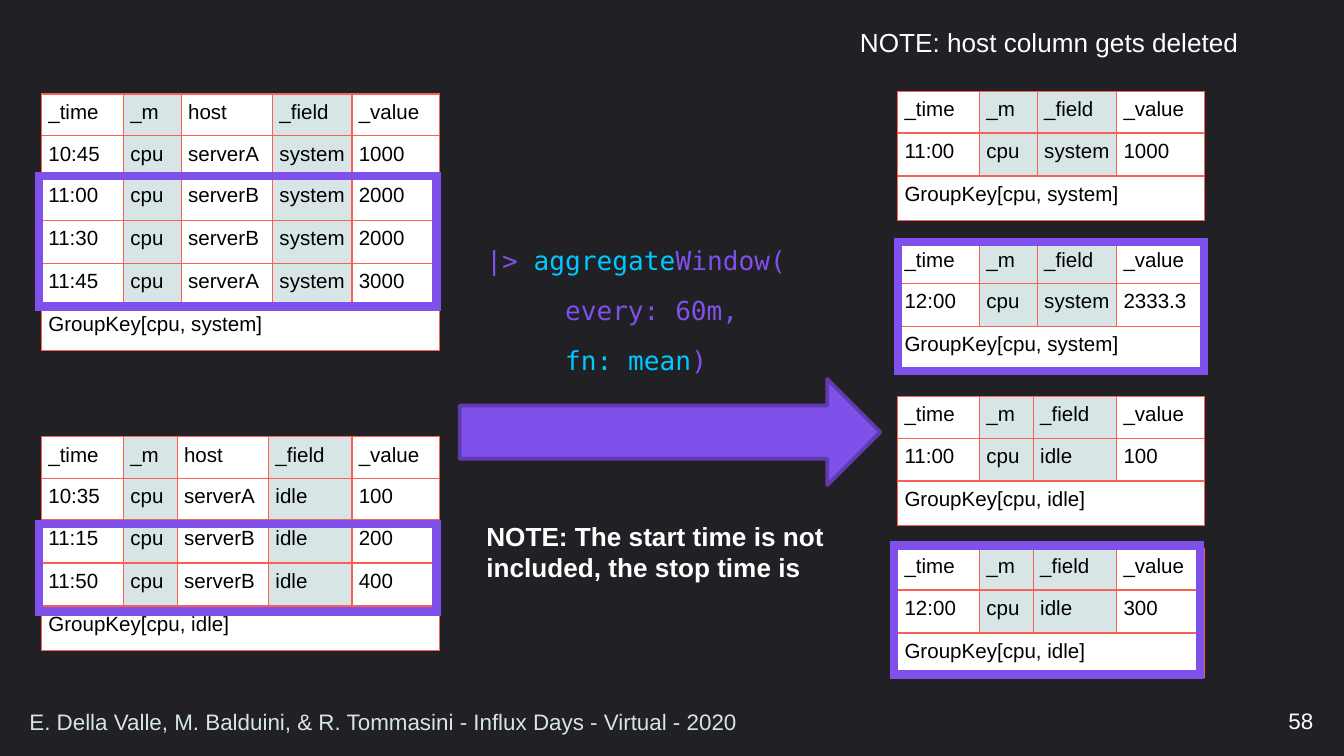
"""Build the slide on windowed aggregation of grouped tables."""
import pptx
import pptx.dml.color
import pptx.enum.shapes
import pptx.enum.text
import pptx.oxml.ns
import pptx.util
from lxml import etree

Inches = pptx.util.Inches
Pt = pptx.util.Pt
ALIGN = pptx.enum.text.PP_ALIGN
ANCHOR = pptx.enum.text.MSO_ANCHOR
SHAPE = pptx.enum.shapes.MSO_SHAPE
qn = pptx.oxml.ns.qn

COLORS = {
    "night": "202025", "white": "FFFFFF", "black": "000000", "mist": "D7E5E6",
    "coral": "F95F53", "violet": "8050EA", "plum": "5F3BAD", "cyan": "00C9FF",
}


def rgb(color):
    return pptx.dml.color.RGBColor.from_string(COLORS[color])


def add_run(paragraph, text, size, color, font="Arial", bold=False):
    run = paragraph.add_run()
    run.text = text
    run.font.size = Pt(size)
    run.font.name = font
    run.font.bold = bold
    run.font.color.rgb = rgb(color)


deck = pptx.Presentation()
deck.slide_width = Inches(10)
deck.slide_height = Inches(10 * 9 / 16)
slide = deck.slides.add_slide(deck.slide_layouts[6])
slide.background.fill.solid()
slide.background.fill.fore_color.rgb = rgb("night")

header_in = ["_time", "_m", "host", "_field", "_value"]
header_out = ["_time", "_m", "_field", "_value"]
system_in = [
    ["10:45", "cpu", "serverA", "system", "1000"],
    ["11:00", "cpu", "serverB", "system", "2000"],
    ["11:30", "cpu", "serverB", "system", "2000"],
    ["11:45", "cpu", "serverA", "system", "3000"],
]
idle_in = [
    ["10:35", "cpu", "serverA", "idle", "100"],
    ["11:15", "cpu", "serverB", "idle", "200"],
    ["11:50", "cpu", "serverB", "idle", "400"],
]
column_widths = {
    "system": {"_time": 0.61, "_m": 0.43, "host": 0.68, "_field": 0.59, "_value": 0.65},
    "idle": {"_time": 0.61, "_m": 0.4, "host": 0.68, "_field": 0.62, "_value": 0.65},
}
streams = [
    (0.31, 0.7, "system", header_in, system_in),
    (0.31, 3.25, "idle", header_in, idle_in),
    (6.68, 0.68, "system", header_out, [["11:00", "cpu", "system", "1000"]]),
    (6.68, 1.8, "system", header_out, [["12:00", "cpu", "system", "2333.3"]]),
    (6.68, 2.95, "idle", header_out, [["11:00", "cpu", "idle", "100"]]),
    (6.68, 4.08, "idle", header_out, [["12:00", "cpu", "idle", "300"]]),
]

for left, top, group, header, records in streams:
    group_key = [f"GroupKey[cpu, {group}]"] + [""] * (len(header) - 1)
    rows = [header, *records, group_key]
    widths = [column_widths[group][name] for name in header]
    heights = [0.31] + [0.32] * len(records) + [0.33]
    if len(records) > 1:
        heights[1] = 0.31
    stream = slide.shapes.add_table(
        len(rows), len(header), Inches(left), Inches(top),
        Inches(sum(widths)), Inches(sum(heights))).table
    stream.first_row = stream.horz_banding = False
    for column, width in zip(stream.columns, widths):
        column.width = Inches(width)
    for row, height in zip(stream.rows, heights):
        row.height = Inches(height)
    for r, values in enumerate(rows):
        for c, value in enumerate(values):
            cell = stream.cell(r, c)
            cell.margin_left = cell.margin_right = Inches(0.05)
            cell.margin_top = cell.margin_bottom = Inches(0.05)
            properties = cell._tc.get_or_add_tcPr()
            for side in ("a:lnL", "a:lnR", "a:lnT", "a:lnB"):
                border = etree.SubElement(properties, qn(side), w=str(Pt(0.75)))
                ink = etree.SubElement(border, qn("a:solidFill"))
                etree.SubElement(ink, qn("a:srgbClr"), val=COLORS["coral"])
            shaded = header[c] in ("_m", "_field") and values is not group_key
            cell.fill.solid()
            cell.fill.fore_color.rgb = rgb("mist" if shaded else "white")
            if value:
                add_run(cell.text_frame.paragraphs[0], value, 11, "black")
    last = len(rows) - 1
    stream.cell(last, 0).merge(stream.cell(last, len(header) - 1))

arrow = slide.shapes.add_shape(
    SHAPE.UP_ARROW, Inches(4.59), Inches(1.65), Inches(0.79), Inches(3.13))
arrow.rotation = 90
arrow.shadow.inherit = False
arrow.fill.solid()
arrow.fill.fore_color.rgb = rgb("violet")
arrow.line.color.rgb = rgb("plum")
arrow.line.width = Pt(2)

windows = [
    (0.29, 1.31, 2.96, 0.97), (0.29, 3.9, 2.96, 0.65),
    (6.68, 1.8, 2.28, 0.96), (6.65, 4.06, 2.28, 0.96),
]
for place in windows:
    window = slide.shapes.add_shape(SHAPE.RECTANGLE, *map(Inches, place))
    window.shadow.inherit = False
    window.fill.background()
    window.line.color.rgb = rgb("violet")
    window.line.width = Pt(4.5)
    etree.SubElement(window.line._get_or_add_ln(), qn("a:miter"), lim="800000")

code = slide.shapes.add_textbox(
    Inches(3.52), Inches(1.63), Inches(2.58), Inches(1.19)).text_frame
code.word_wrap = True
call = code.paragraphs[0]
call.line_spacing = 1.6
code_lines = [
    [("|> ", "violet"), ("aggregate", "cyan"), ("Window(", "violet")],
    [("     every: 60m, ", "violet")],
    [("     ", "violet"), ("fn: mean", "cyan"), (")", "violet")],
]
for number, pieces in enumerate(code_lines):
    if number:
        call.add_line_break()
    for text, color in pieces:
        add_run(call, text, 14, color, "DejaVu Sans Mono")

labels = [
    ((3.52, 3.82, 2.89, 0.57), "NOTE: The start time is not included, the stop time is",
     14, "white", True, True, ALIGN.LEFT, ANCHOR.TOP),
    ((6.3, 0.15, 3.03, 0.34), "NOTE: host column gets deleted",
     14, "white", False, False, ALIGN.LEFT, ANCHOR.TOP),
    ((7.62, 5.21, 2.25, 0.3), "58",
     12, "white", False, True, ALIGN.RIGHT, ANCHOR.MIDDLE),
    ((0.12, 5.22, 7.45, 0.29),
     "E. Della Valle, M. Balduini, & R. Tommasini - Influx Days - Virtual - 2020",
     12, "mist", False, True, ALIGN.LEFT, ANCHOR.MIDDLE),
]
for place, text, size, color, bold, wrap, alignment, anchor in labels:
    label = slide.shapes.add_textbox(*map(Inches, place)).text_frame
    label.word_wrap = wrap
    label.vertical_anchor = anchor
    label.paragraphs[0].alignment = alignment
    add_run(label.paragraphs[0], text, size, color, bold=bold)

deck.save("out.pptx")
